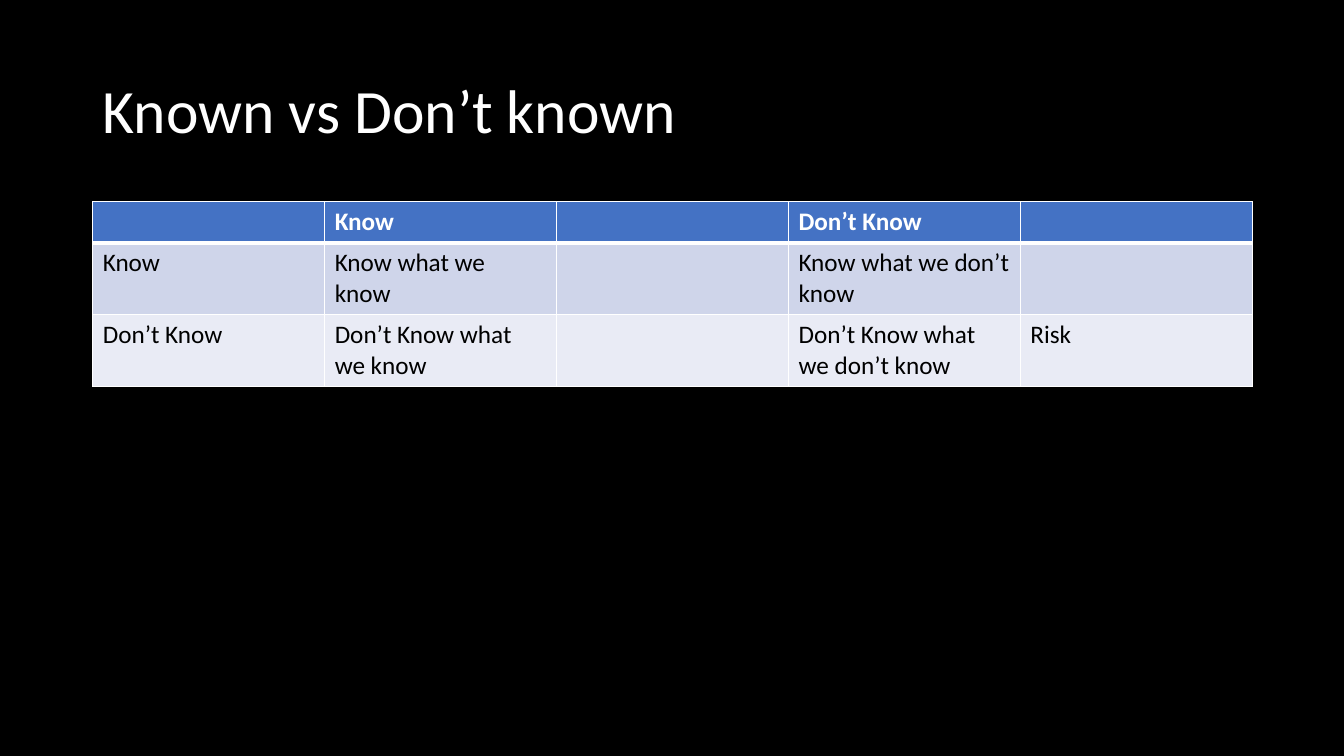
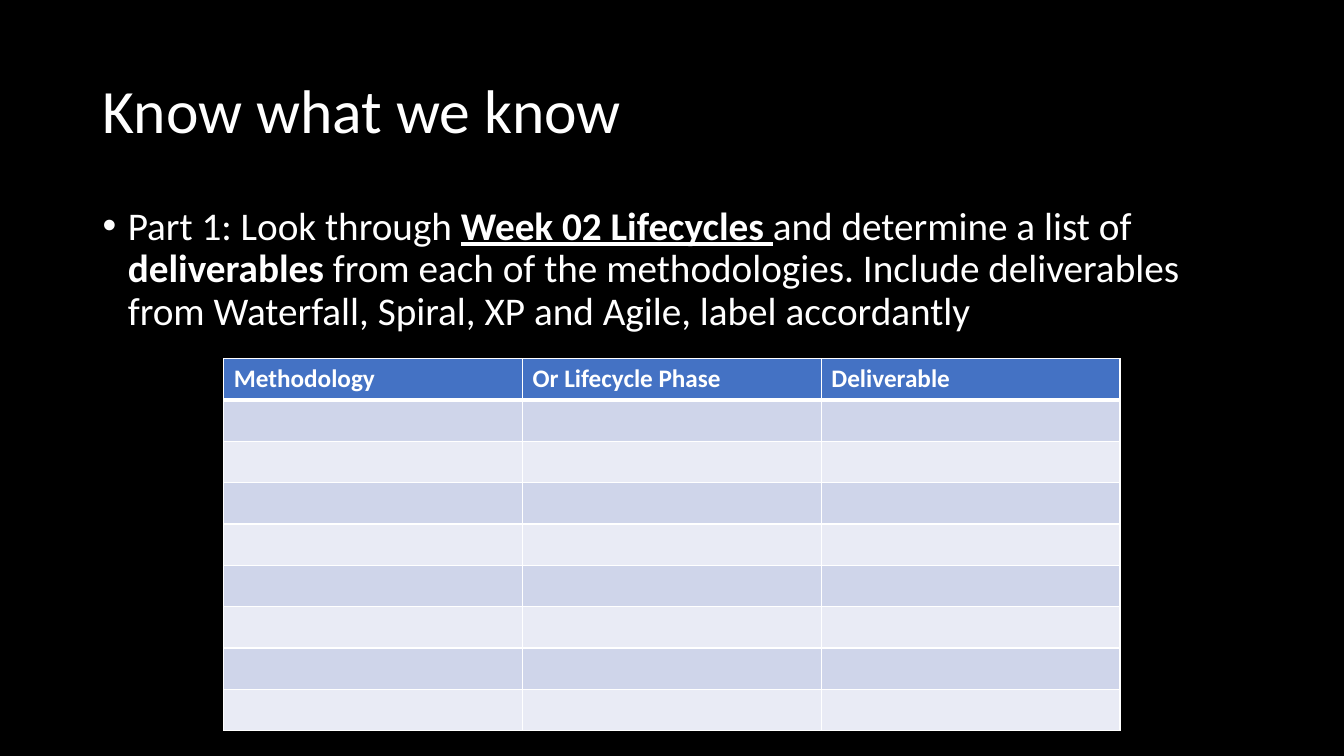
import pptx
import pptx.util
import pptx.dml.color
import pptx.enum.text
import pptx.oxml.ns
import lxml.etree

Inches = pptx.util.Inches
Pt = pptx.util.Pt
HUES = {
    "back": "000000",
    "light": "FFFFFF",
    "dark": "000000",
    "head": "4472C4",
    "odd": "CFD5EA",
    "even": "E9EBF5",
}
FONT = "Calibri"
LEFT, WIDE = 0.92, 11.5


def add_run(para, text, size, hue, bold=False, under=False):
    run = para.add_run()
    run.text = text
    run.font.name = FONT
    run.font.size = Pt(size)
    run.font.bold = bold
    run.font.underline = under
    run.font.color.rgb = pptx.dml.color.RGBColor.from_string(HUES[hue])


def add_grid(slide, rows, left, top, width):
    high = 0.41
    count = len(rows[0])
    frame = slide.shapes.add_table(
        len(rows), count, Inches(left), Inches(top), Inches(width), Inches(high * len(rows))
    )
    table = frame.table
    for col in table.columns:
        col.width = Inches(width / count)
    for i, row in enumerate(rows):
        table.rows[i].height = Inches(high)
        band = "head" if i == 0 else "odd" if i % 2 else "even"
        sides = {"lnL": 1, "lnR": 1, "lnT": 3 if i == 1 else 1, "lnB": 3 if i == 0 else 1}
        for j, text in enumerate(row):
            cell = table.cell(i, j)
            props = cell._tc.get_or_add_tcPr()
            for side, points in sides.items():
                line = lxml.etree.SubElement(props, pptx.oxml.ns.qn("a:" + side), w=str(Pt(points)))
                fill = lxml.etree.SubElement(line, pptx.oxml.ns.qn("a:solidFill"))
                lxml.etree.SubElement(fill, pptx.oxml.ns.qn("a:srgbClr"), val=HUES["light"])
            cell.fill.solid()
            cell.fill.fore_color.rgb = pptx.dml.color.RGBColor.from_string(HUES[band])
            if text:
                hue = "light" if i == 0 else "dark"
                add_run(cell.text_frame.paragraphs[0], text, 18, hue, bold=i == 0)


deck = pptx.Presentation()
deck.slide_width = Inches(13.33)
deck.slide_height = Inches(7.5)
ground = deck.slide_master.background.fill
ground.solid()
ground.fore_color.rgb = pptx.dml.color.RGBColor.from_string(HUES["back"])

slides = []
for text in ["Known vs Don’t known", "Know what we know"]:
    slide = deck.slides.add_slide(deck.slide_layouts[5])
    title = slide.shapes.title
    title.left, title.top = Inches(LEFT), Inches(0.4)
    title.width, title.height = Inches(WIDE), Inches(1.45)
    title.text_frame.vertical_anchor = pptx.enum.text.MSO_ANCHOR.MIDDLE
    para = title.text_frame.paragraphs[0]
    para.alignment = pptx.enum.text.PP_ALIGN.LEFT
    para.line_spacing = 0.9
    add_run(para, text, 44, "light")
    slides.append(slide)
known, task = slides

add_grid(
    known,
    [
        ["", "Know", "", "Don’t Know", ""],
        ["Know", "Know what we know", "", "Know what we don’t know", ""],
        ["Don’t Know", "Don’t Know what we know", "", "Don’t Know what we don’t know", "Risk"],
    ],
    LEFT, 2, WIDE,
)

body = task.shapes.add_textbox(Inches(LEFT), Inches(2), Inches(WIDE), Inches(4.76))
body.text_frame.word_wrap = True
para = body.text_frame.paragraphs[0]
para.line_spacing = 0.9
para.space_before = Pt(10)
props = para._p.get_or_add_pPr()
props.set("marL", str(Inches(0.25)))
props.set("indent", str(Inches(-0.25)))
lxml.etree.SubElement(props, pptx.oxml.ns.qn("a:buFont"), typeface="Arial")
lxml.etree.SubElement(props, pptx.oxml.ns.qn("a:buChar"), char="•")
for text, bold, under in [
    ("Part 1: Look through ", False, False),
    ("Week 02 Lifecycles ", True, True),
    ("and determine a list of ", False, False),
    ("deliverables", True, False),
    (" from each of the methodologies. Include deliverables from Waterfall, Spiral, XP and Agile, "
     "label accordantly", False, False),
]:
    add_run(para, text, 28, "light", bold, under)

heads = ["Methodology", "Or Lifecycle Phase", "Deliverable"]
add_grid(task, [heads] + [[""] * len(heads)] * 8, 2.22, 3.56, 8.89)

deck.save("out.pptx")
